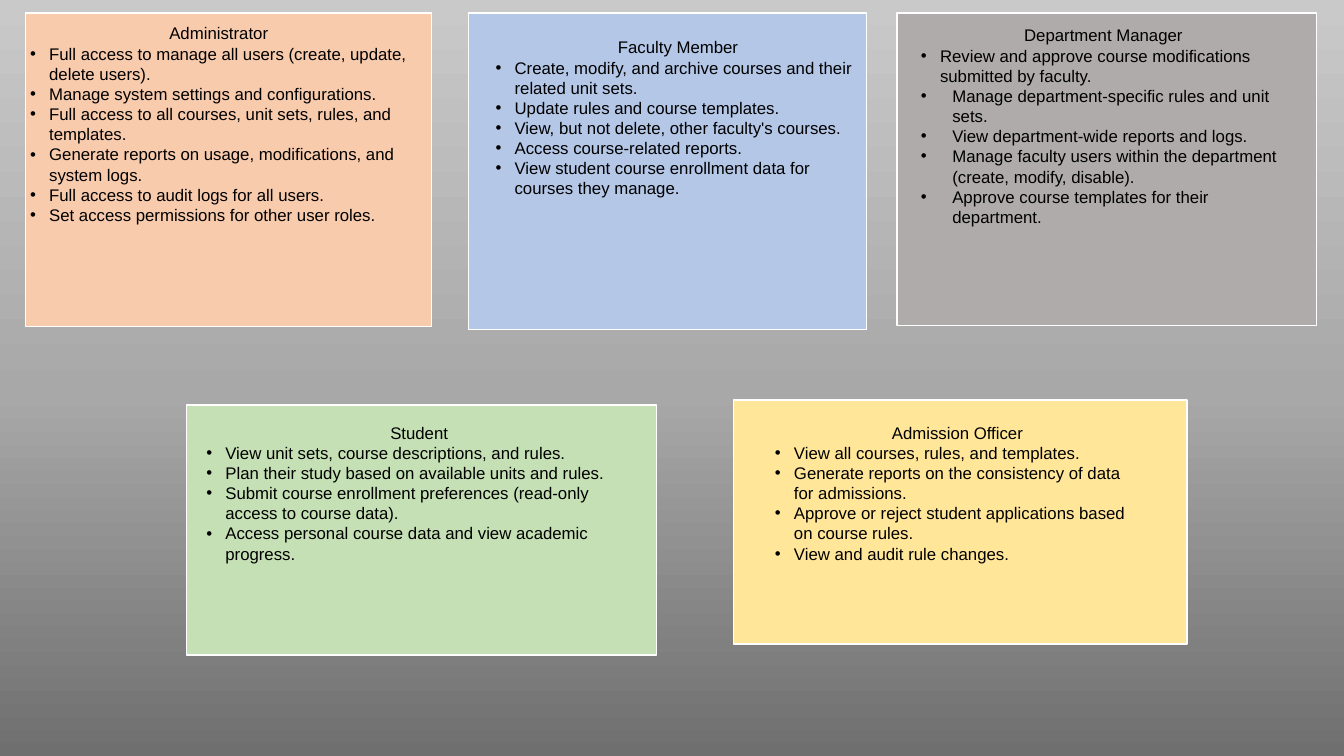
from lxml import etree
from pptx import Presentation
from pptx.dml.color import RGBColor
from pptx.enum.shapes import MSO_SHAPE
from pptx.enum.text import MSO_AUTO_SIZE, PP_ALIGN
from pptx.oxml.ns import qn
from pptx.util import Cm, Pt

RECTANGLE = MSO_SHAPE.RECTANGLE
CENTER = PP_ALIGN.CENTER
FIT_SHAPE = MSO_AUTO_SIZE.SHAPE_TO_FIT_TEXT

FONT = "Arial"
COLORS = {
    "administrator": "F8CBAD",
    "faculty": "B4C7E7",
    "manager": "AFABAB",
    "student": "C5E0B4",
    "admission": "FFE699",
    "border": "FFFFFF",
    "text": "000000",
    "dark": "6F6F6F",
    "middle": "A8A8A8",
    "light": "C9C9C9",
}
BACKGROUND_STOPS = [(0, "dark"), (48, "middle"), (100, "light")]
NARROW, WIDE = 0.48, 0.79  # bullet indents in cm

# color, card (left, top, width, height), text area, title, duties; lengths in cm
ROLES = [
    ("administrator", (0.64, 0.33, 10.24, 7.9), (0.51, 0.46, 10.01, 5.89),
     "Administrator", [
         ("Full access to manage all users (create, update, delete users).", NARROW),
         ("Manage system settings and configurations.", NARROW),
         ("Full access to all courses, unit sets, rules, and templates.", NARROW),
         ("Generate reports on usage, modifications, and system logs.", NARROW),
         ("Full access to audit logs for all users.", NARROW),
         ("Set access permissions for other user roles.", NARROW),
     ]),
    ("faculty", (11.81, 0.33, 10.03, 7.98), (12.24, 0.81, 9.7, 4.37),
     "Faculty Member", [
         ("Create, modify, and archive courses and their related unit sets.", NARROW),
         ("Update rules and course templates.", NARROW),
         ("View, but not delete, other faculty's courses.", NARROW),
         ("Access course-related reports.", NARROW),
         ("View student course enrollment data for courses they manage.", NARROW),
     ]),
    ("manager", (22.61, 0.33, 10.57, 7.87), (22.96, 0.51, 9.7, 5.38),
     "Department Manager", [
         ("Review and approve course modifications submitted by faculty.", NARROW),
         ("Manage department-specific rules and unit sets.", WIDE),
         ("View department-wide reports and logs.", WIDE),
         ("Manage faculty users within the department (create, modify, disable).", WIDE),
         ("Approve course templates for their department.", WIDE),
     ]),
    ("student", (4.7, 10.21, 11.84, 6.3), (4.95, 10.52, 11.23, 3.84),
     "Student", [
         ("View unit sets, course descriptions, and rules.", NARROW),
         ("Plan their study based on available units and rules.", NARROW),
         ("Submit course enrollment preferences (read-only access to course data).", NARROW),
         ("Access personal course data and view academic progress.", NARROW),
     ]),
    ("admission", (18.49, 10.08, 11.43, 6.15), (19.28, 10.52, 9.7, 3.84),
     "Admission Officer", [
         ("View all courses, rules, and templates.", NARROW),
         ("Generate reports on the consistency of data for admissions.", NARROW),
         ("Approve or reject student applications based on course rules.", NARROW),
         ("View and audit rule changes.", NARROW),
     ]),
]


def rgb(name):
    return RGBColor.from_string(COLORS[name])


def paint_background(page):
    fill = page.background.fill
    fill.gradient()
    fill.gradient_angle = 90
    stops = page.element.find(".//" + qn("a:gsLst"))
    for stop in list(stops):
        stops.remove(stop)
    for percent, color in BACKGROUND_STOPS:
        stop = etree.SubElement(stops, qn("a:gs"), pos=str(percent * 1000))
        etree.SubElement(stop, qn("a:srgbClr"), val=COLORS[color])


def add_card(page, area, color):
    card = page.shapes.add_shape(RECTANGLE, *map(Cm, area))
    card.shadow.inherit = False
    card.fill.solid()
    card.fill.fore_color.rgb = rgb(color)
    card.line.color.rgb = rgb("border")
    card.line.width = Pt(1)


def add_span(para, text):
    span = para.add_run()
    span.text = text
    span.font.name = FONT
    span.font.size = Pt(12)
    span.font.color.rgb = rgb("text")


def set_bullet(para, indent):
    """Give the paragraph a round bullet with a hanging indent in cm."""
    properties = para._p.get_or_add_pPr()
    properties.set("marL", str(Cm(indent)))
    properties.set("indent", str(-Cm(indent)))
    etree.SubElement(properties, qn("a:buFont"), typeface=FONT)
    etree.SubElement(properties, qn("a:buChar"), char="•")


def add_duties(page, area, title, duties):
    """Add a centred title with a bulleted list below it."""
    box = page.shapes.add_textbox(*map(Cm, area))
    frame = box.text_frame
    frame.word_wrap = True
    frame.auto_size = FIT_SHAPE
    heading = frame.paragraphs[0]
    heading.alignment = CENTER
    add_span(heading, title)
    for duty, indent in duties:
        para = frame.add_paragraph()
        set_bullet(para, indent)
        add_span(para, duty)


def main():
    deck = Presentation()
    deck.slide_width, deck.slide_height = Cm(33.87), Cm(19.05)
    page = deck.slides.add_slide(deck.slide_layouts[6])
    paint_background(page)
    for color, card_area, _, _, _ in ROLES:
        add_card(page, card_area, color)
    for _, _, text_area, title, duties in ROLES:
        add_duties(page, text_area, title, duties)
    deck.save("out.pptx")


if __name__ == "__main__":
    main()
